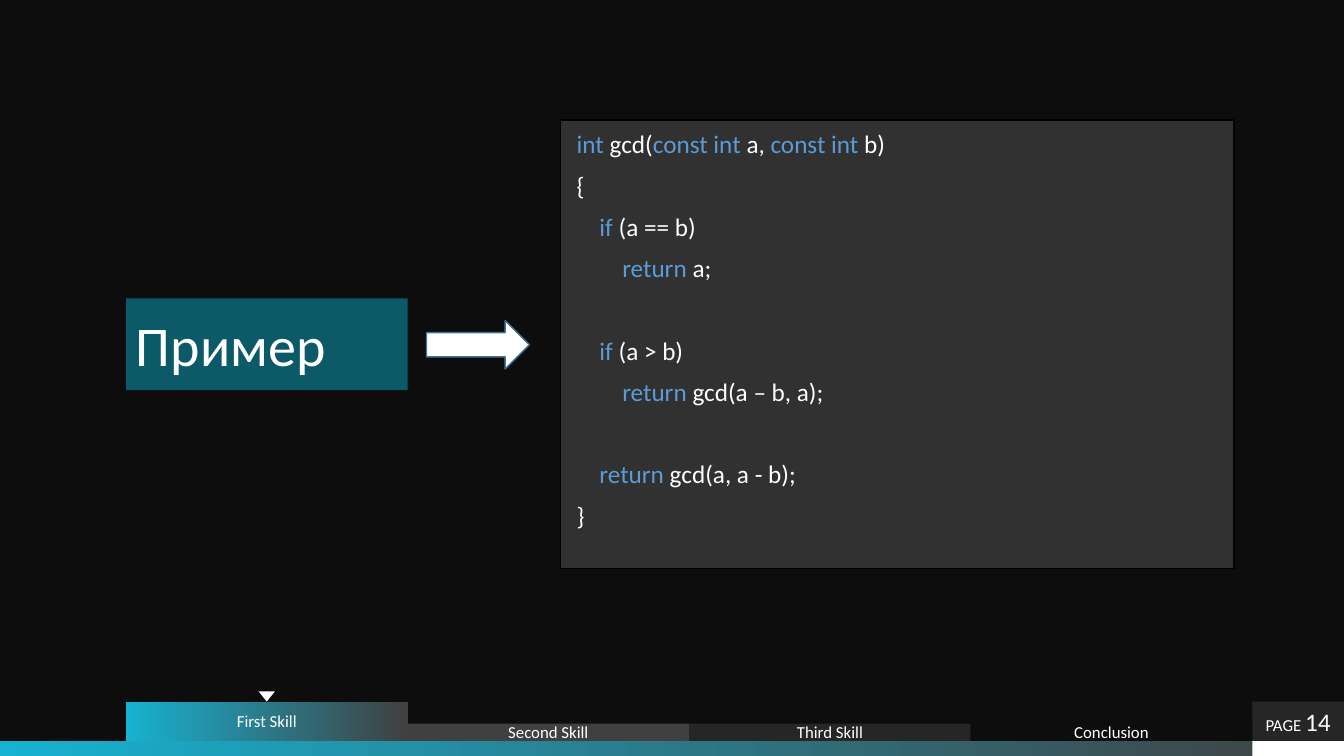
from dataclasses import dataclass

from lxml import etree
from pptx import Presentation
from pptx.dml.color import RGBColor
from pptx.enum import shapes, text
from pptx.oxml import ns
from pptx.util import Inches, Pt


@dataclass(frozen=True)
class Theme:
    font: str = "Calibri"
    background: str = "0D0D0D"
    white: str = "FFFFFF"
    black: str = "000000"
    accent: str = "17B2D1"
    title_fill: str = "0C5968"
    gray: str = "404040"
    dark_gray: str = "262626"
    keyword: str = "5B9BD5"
    arrow_line: str = "41719C"
    title_size: int = 40
    code_size: int = 18
    number_size: int = 18
    label_size: int = 12


@dataclass(frozen=True)
class Area:
    left: float
    top: float
    width: float
    height: float


@dataclass(frozen=True)
class Tab:
    label: str
    fill: str
    active: bool = False


@dataclass(frozen=True)
class Span:
    wording: str
    size: int
    color: str


@dataclass(frozen=True)
class CodeLine:
    segments: str
    space_before: float = 10


THEME = Theme()
RECTANGLE = shapes.MSO_SHAPE.RECTANGLE
PAGE_WIDTH, PAGE_HEIGHT = 13.33, 7.5
STRIP_HEIGHT = 0.15
STRIP_TOP = PAGE_HEIGHT - STRIP_HEIGHT
TABS_LEFT, NUMBER_LEFT = 1.25, 12.42
NUMBER_WIDTH = PAGE_WIDTH - NUMBER_LEFT
TALL_TAB, SHORT_TAB = 0.39, 0.17
MARKER_WIDTH, MARKER_HEIGHT = 0.16, 0.1
AFTER_GAP = 39.5

TABS = [
    Tab("First Skill", THEME.accent, active=True),
    Tab("Second Skill", THEME.gray),
    Tab("Third Skill", THEME.dark_gray),
    Tab("Conclusion", THEME.background),
]
TAB_WIDTH = (NUMBER_LEFT - TABS_LEFT) / len(TABS)

CODE = [
    CodeLine("|int| gcd(|const int |a, |const int |b)", 0),
    CodeLine("{"),
    CodeLine("    |if |(a == b)"),
    CodeLine("        |return| a;"),
    CodeLine("    |if |(a > b)", AFTER_GAP),
    CodeLine("        |return| gcd(a – b, a);"),
    CodeLine("    |return| gcd(a, a - b);", AFTER_GAP),
    CodeLine("}"),
]


def rgb(color: str) -> RGBColor:
    return RGBColor.from_string(color)


def add_box(page, area: Area, fill: str, kind=RECTANGLE, line: str = ""):
    box = page.shapes.add_shape(
        kind, Inches(area.left), Inches(area.top), Inches(area.width), Inches(area.height)
    )
    box.shadow.inherit = False
    box.fill.solid()
    box.fill.fore_color.rgb = rgb(fill)
    if line:
        box.line.color.rgb = rgb(line)
        box.line.width = Pt(1)
    else:
        box.line.fill.background()
    return box


def fade(box) -> None:
    box.fill.gradient()
    box.fill.gradient_angle = 0
    for stop, color in zip(box.fill.gradient_stops, (THEME.accent, THEME.gray)):
        stop.color.rgb = rgb(color)


def set_opacity(box, percent: int) -> None:
    color = box.fill._xPr.find(ns.qn("a:solidFill"))[0]
    etree.SubElement(color, ns.qn("a:alpha")).set("val", str(percent * 1000))


def set_frame(box, side: float, edge: float, anchor):
    frame = box.text_frame
    frame.word_wrap = True
    frame.margin_left = frame.margin_right = Inches(side)
    frame.margin_top = frame.margin_bottom = Inches(edge)
    frame.vertical_anchor = anchor
    return frame


def add_spans(para, spans: list[Span], align) -> None:
    para.alignment = align
    for span in spans:
        run = para.add_run()
        run.text = span.wording
        run.font.name = THEME.font
        run.font.size = Pt(span.size)
        run.font.color.rgb = rgb(span.color)


def add_label(box, *spans: Span) -> None:
    frame = set_frame(box, 0.1, 0.05, text.MSO_ANCHOR.MIDDLE)
    add_spans(frame.paragraphs[0], list(spans), text.PP_ALIGN.CENTER)


def add_strip(page) -> None:
    fade(add_box(page, Area(0, STRIP_TOP, PAGE_WIDTH, STRIP_HEIGHT), THEME.accent))
    add_box(page, Area(NUMBER_LEFT, STRIP_TOP, NUMBER_WIDTH, STRIP_HEIGHT), THEME.white)


def add_title(page) -> None:
    box = add_box(page, Area(TABS_LEFT, 2.96, TAB_WIDTH, 0.91), THEME.title_fill)
    frame = set_frame(box, 0.1, 0.12, text.MSO_ANCHOR.MIDDLE)
    title = Span("Пример", THEME.title_size, THEME.white)
    add_spans(frame.paragraphs[0], [title], text.PP_ALIGN.LEFT)


def add_page_number(page) -> None:
    area = Area(NUMBER_LEFT, STRIP_TOP - TALL_TAB, NUMBER_WIDTH, TALL_TAB)
    add_label(
        add_box(page, area, THEME.dark_gray),
        Span("PAGE ", THEME.label_size, THEME.white),
        Span("14", THEME.number_size, THEME.white),
    )


def add_tab(page, index: int, tab: Tab) -> None:
    height = TALL_TAB if tab.active else SHORT_TAB
    left, top = TABS_LEFT + index * TAB_WIDTH, STRIP_TOP - height
    box = add_box(page, Area(left, top, TAB_WIDTH, height), tab.fill)
    add_label(box, Span(tab.label, THEME.label_size, THEME.white))
    if tab.active:
        fade(box)
        marker_left = left + (TAB_WIDTH - MARKER_WIDTH) / 2
        marker = Area(marker_left, top - MARKER_HEIGHT, MARKER_WIDTH, MARKER_HEIGHT)
        add_box(page, marker, THEME.white, shapes.MSO_SHAPE.FLOWCHART_MERGE)


def add_code(page) -> None:
    box = add_box(page, Area(5.56, 1.19, 6.68, 4.45), THEME.white, line=THEME.black)
    set_opacity(box, 15)
    frame = set_frame(box, 0.16, 0.12, text.MSO_ANCHOR.TOP)
    for index, line in enumerate(CODE):
        para = frame.add_paragraph() if index else frame.paragraphs[0]
        para.line_spacing = 0.9
        para.space_before = Pt(line.space_before)
        spans = [
            Span(part, THEME.code_size, THEME.keyword if place % 2 else THEME.white)
            for place, part in enumerate(line.segments.split("|"))
            if part
        ]
        add_spans(para, spans, text.PP_ALIGN.LEFT)


def main() -> None:
    deck = Presentation()
    deck.slide_width, deck.slide_height = Inches(PAGE_WIDTH), Inches(PAGE_HEIGHT)
    page = deck.slides.add_slide(deck.slide_layouts[6])
    page.background.fill.solid()
    page.background.fill.fore_color.rgb = rgb(THEME.background)
    add_strip(page)
    add_title(page)
    add_page_number(page)
    for index, tab in enumerate(TABS):
        add_tab(page, index, tab)
    arrow = Area(4.23, 3.18, 1.02, 0.48)
    add_box(page, arrow, THEME.white, shapes.MSO_SHAPE.RIGHT_ARROW, THEME.arrow_line)
    add_code(page)
    deck.save("out.pptx")


if __name__ == "__main__":
    main()
